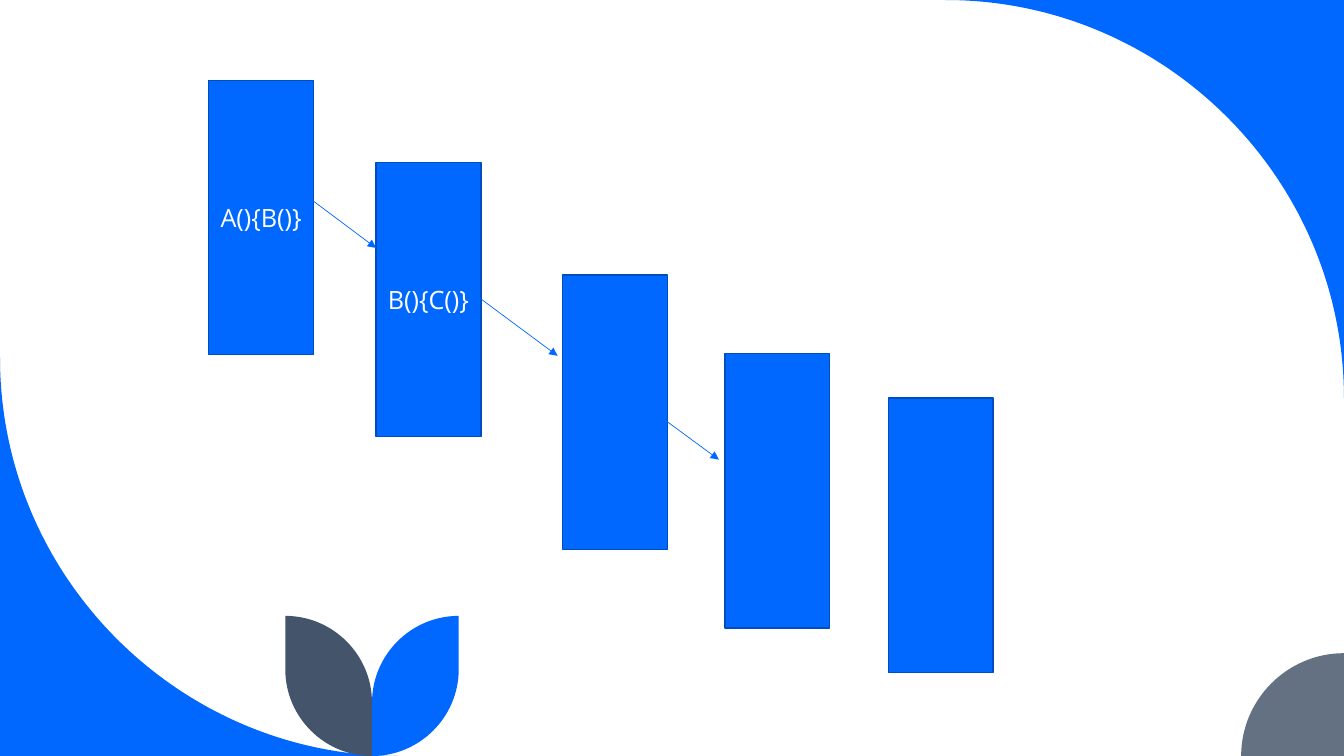
from math import cos, radians, sin

from lxml import etree
from pptx import Presentation
from pptx.dml.color import RGBColor
from pptx.enum.shapes import MSO_CONNECTOR, MSO_SHAPE
from pptx.enum.text import MSO_ANCHOR, PP_ALIGN
from pptx.oxml.ns import qn
from pptx.util import Inches, Pt

RECT, STRAIGHT = MSO_SHAPE.RECTANGLE, MSO_CONNECTOR.STRAIGHT
MIDDLE, CENTER = MSO_ANCHOR.MIDDLE, PP_ALIGN.CENTER
BLUE = RGBColor(0x00, 0x68, 0xFF)
DARK_BLUE = RGBColor(0x00, 0x4D, 0xBD)
GRAY = RGBColor(0x63, 0x71, 0x83)
SLATE = RGBColor(0x44, 0x54, 0x6A)
WHITE = RGBColor(0xFF, 0xFF, 0xFF)

WIDTH, HEIGHT = 13.33, 7.5
CORNER, DOT, LEAF = 3.95, 1.02, 0.86
STEM, LEAF_LOW, LEAF_HIGH = 3.69, 6.64, 6.97
BOX_W, BOX_H = 1.04, 2.72
ARC_PULL = 0.55

DECORATIONS = [
    (BLUE, [(WIDTH, 0)], [(WIDTH - CORNER, CORNER, CORNER, 270)]),
    (BLUE, [(0, HEIGHT)], [(CORNER, HEIGHT - CORNER, CORNER, 90)]),
    (GRAY, [(WIDTH, HEIGHT)], [(WIDTH, HEIGHT, DOT, 180)]),
    (BLUE, [], [(STEM, LEAF_LOW, LEAF, 0), (STEM + LEAF, LEAF_HIGH, LEAF, 180)]),
    (SLATE, [], [(STEM, LEAF_LOW, LEAF, 90), (STEM - LEAF, LEAF_HIGH, LEAF, 270)]),
]
CALLS = [
    (2.07, 0.8, "A(){B()}"),
    (3.73, 1.61, "B(){C()}"),
    (5.58, 2.73, ""),
    (7.19, 3.51, ""),
]
LAST_CALL = (8.81, 3.95, "")
ARROWS = [
    (2.46, 1.51, 3.73, 2.46),
    (4.25, 2.58, 5.53, 3.53),
    (5.85, 3.62, 7.13, 4.56),
]

prs = Presentation()
prs.slide_width, prs.slide_height = Inches(WIDTH), Inches(HEIGHT)
s = prs.slides.add_slide(prs.slide_layouts[6])
s.background.fill.solid()
s.background.fill.fore_color.rgb = WHITE


def paint(sp, color):
    sp.shadow.inherit = False
    sp.fill.solid()
    sp.fill.fore_color.rgb = color


def quarter_arc(cx, cy, radius, start):
    ux, uy = cos(radians(start)), sin(radians(start))
    vx, vy = -uy, ux
    weights = [(1, 0), (1, ARC_PULL), (ARC_PULL, 1), (0, 1)]
    return [
        (cx + radius * (a * ux + b * vx), cy + radius * (a * uy + b * vy))
        for a, b in weights
    ]


def add_decoration(color, corners, arcs):
    points, curve_starts = list(corners), []
    for arc in arcs:
        curve_starts.append(len(points) + 1)
        points += quarter_arc(*arc)
    points = [(Inches(x), Inches(y)) for x, y in points]
    builder = s.shapes.build_freeform(*points[0])
    builder.add_line_segments(points[1:])
    sp = builder.convert_to_shape()
    steps = list(next(sp._element.iter(qn("a:path"))))
    for start in curve_starts:
        curve = etree.Element(qn("a:cubicBezTo"))
        steps[start].addprevious(curve)
        for step in steps[start:start + 3]:
            curve.append(step[0])
            step.getparent().remove(step)
    paint(sp, color)
    sp.line.fill.background()


def add_call(x, y, text):
    sp = s.shapes.add_shape(RECT, *map(Inches, (x, y, BOX_W, BOX_H)))
    paint(sp, BLUE)
    sp.line.color.rgb, sp.line.width = DARK_BLUE, Pt(1)
    if text:
        tf = sp.text_frame
        tf.vertical_anchor = MIDDLE
        p = tf.paragraphs[0]
        p.alignment = CENTER
        r = p.add_run()
        r.text = text
        r.font.color.rgb = WHITE
        for name, value in {"name": "Open Sans", "size": Pt(18)}.items():
            setattr(r.font, name, value)


def add_arrow(*ends):
    line = s.shapes.add_connector(STRAIGHT, *map(Inches, ends))
    line.line.color.rgb, line.line.width = BLUE, Pt(0.5)
    spPr = line._element.spPr
    etree.SubElement(spPr.find(qn("a:ln")), qn("a:tailEnd"), type="triangle")
    etree.SubElement(spPr, qn("a:effectLst"))


for decoration in DECORATIONS:
    add_decoration(*decoration)
for call in CALLS:
    add_call(*call)
for arrow in ARROWS:
    add_arrow(*arrow)
add_call(*LAST_CALL)

prs.save("out.pptx")
